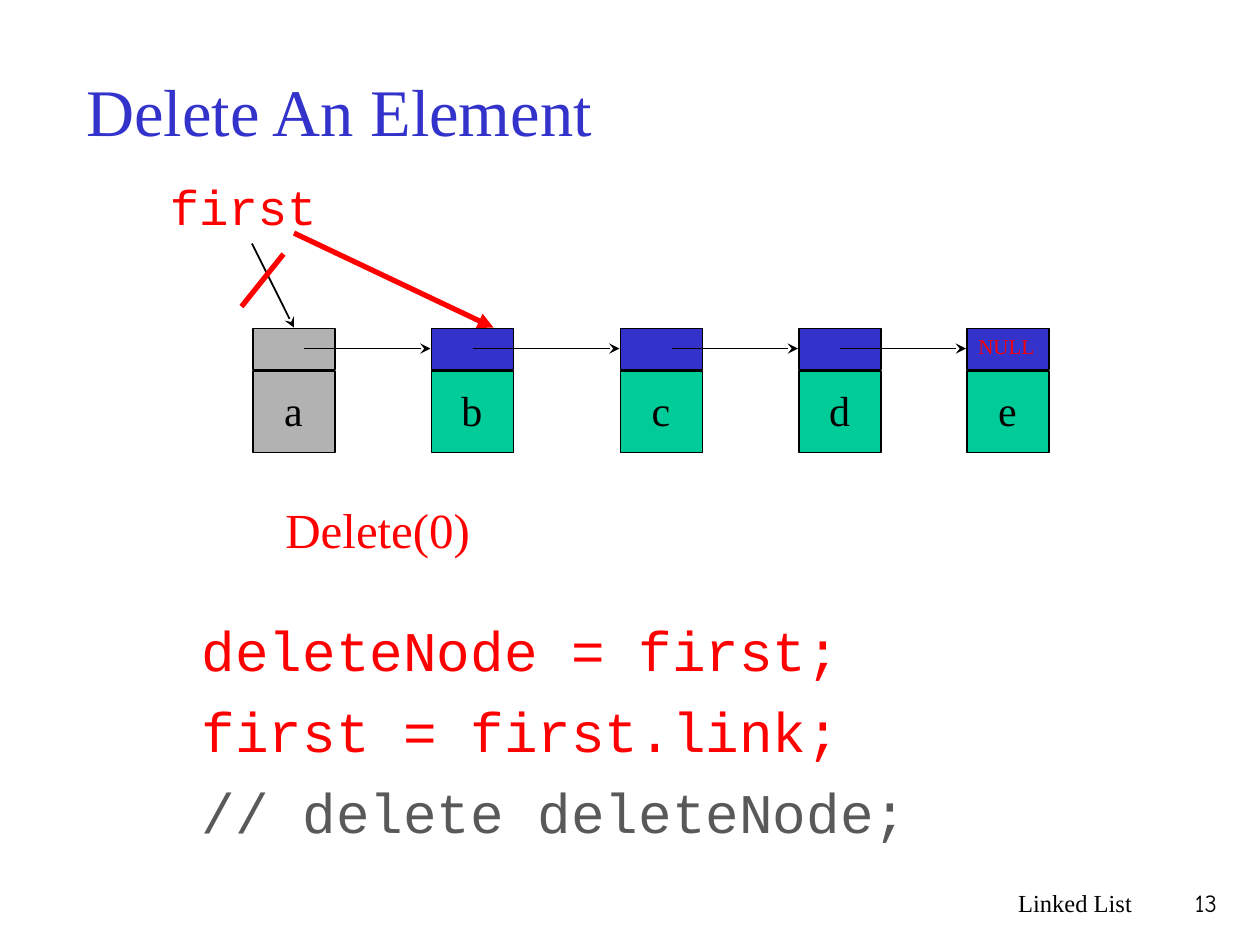
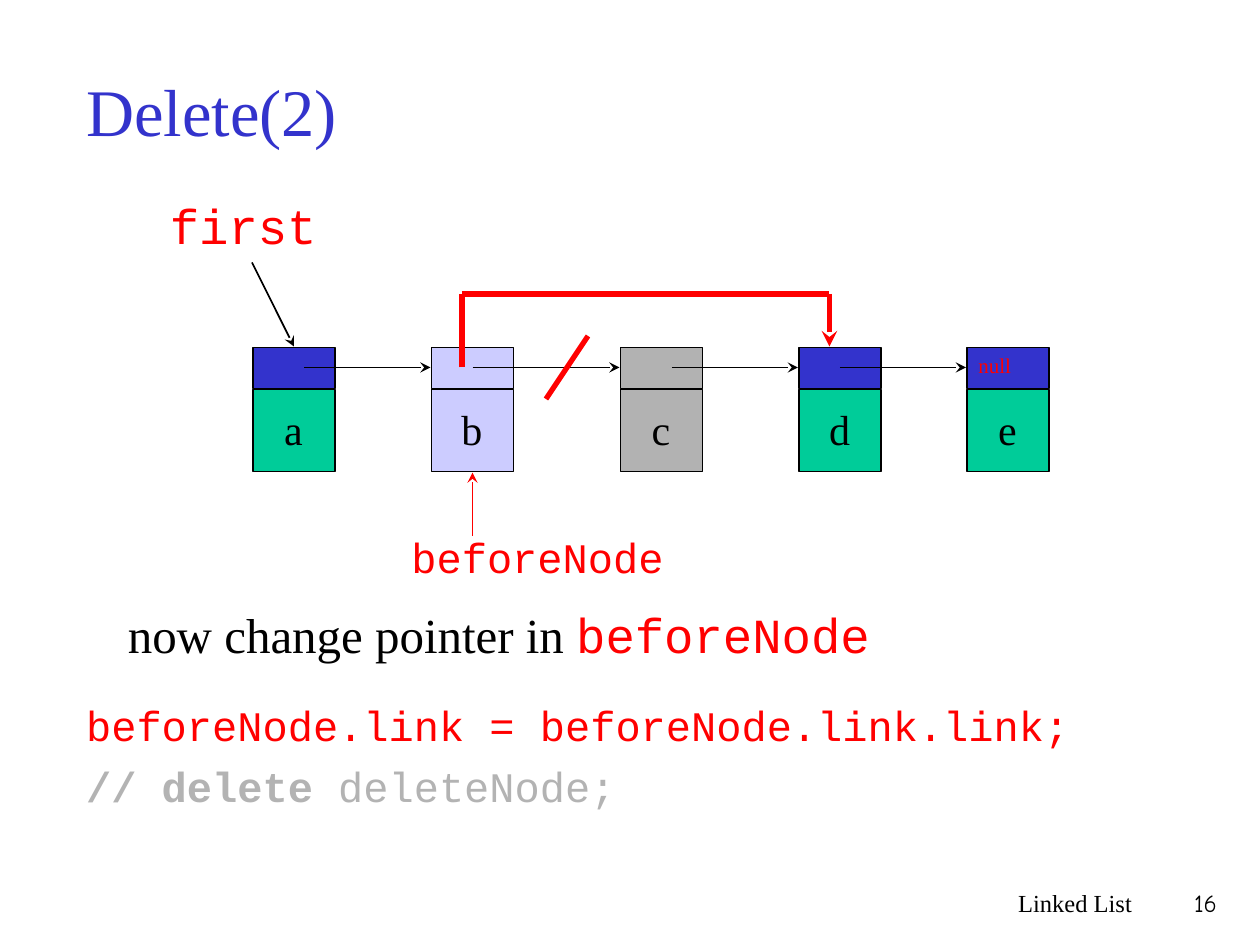
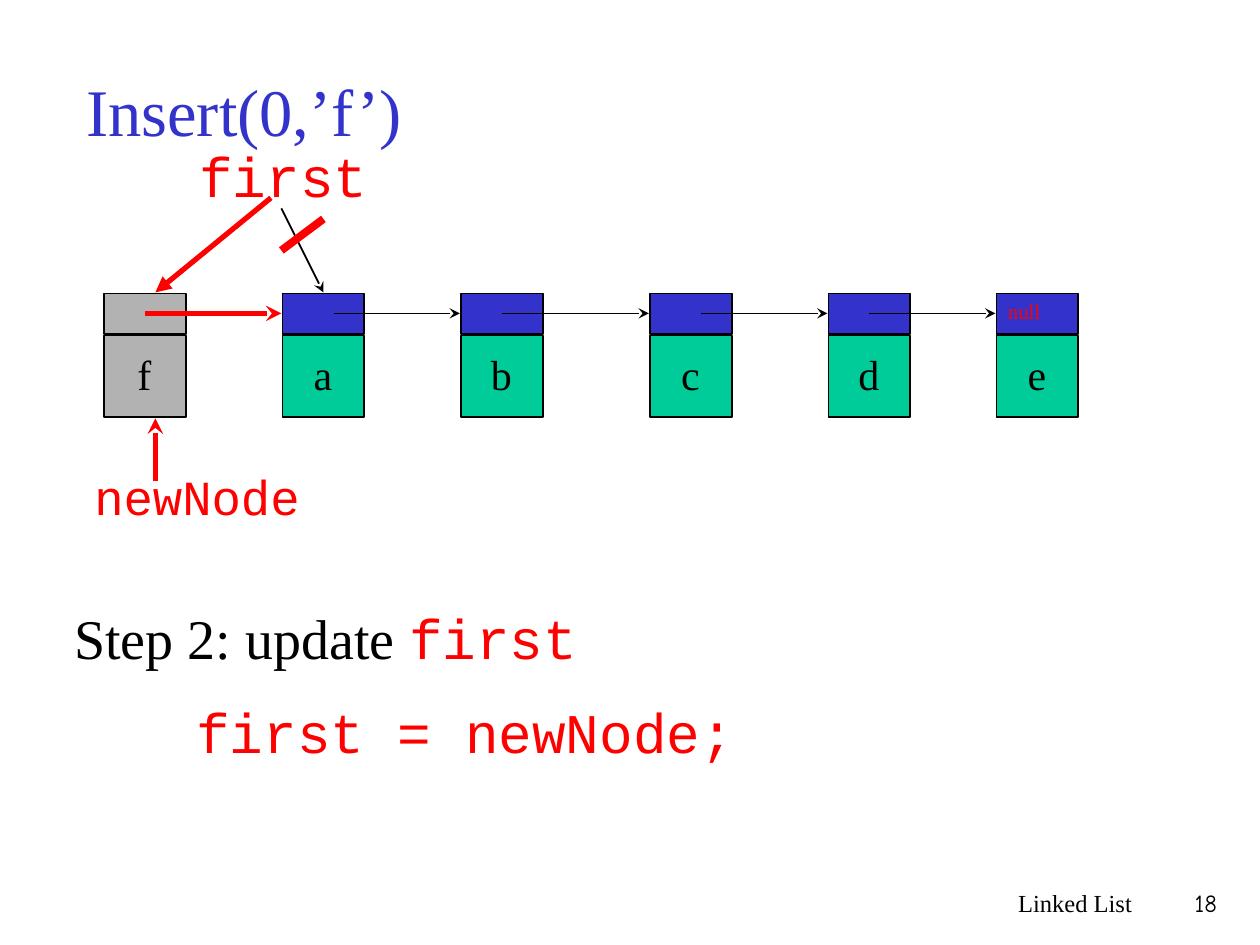
from dataclasses import dataclass, replace

import pptx
import pptx.dml.color
import pptx.enum.shapes
import pptx.enum.text
import pptx.oxml.ns
import pptx.util
from lxml import etree

ALIGN = pptx.enum.text.PP_ALIGN
ANCHOR = pptx.enum.text.MSO_ANCHOR


@dataclass(frozen=True)
class Style:
    font: str
    size: float
    color: str
    bold: bool = False


class Theme:
    BLUE, GREEN, LAVENDER = "3333CC", "00CC99", "CCCCFF"
    RED, BLACK, GRAY = "FF0000", "000000", "B2B2B2"
    SERIF, MONO = "Times New Roman", "Courier New"
    TITLE = Style(SERIF, 38, BLUE)
    TEXT = Style(SERIF, 28, BLACK)
    CODE = Style(MONO, 28, RED)
    ELEMENT = Style(SERIF, 24, BLACK)
    NULL = Style(SERIF, 12, RED)
    FOOTER = Style(SERIF, 14, BLACK)
    NUMBER = Style("Comic Neue", 14, BLACK)
    THIN, THICK, HEAVY = 1, 3, 4.5
    LINE_GAP = 0.25  # space before a paragraph, as a share of its type size


@dataclass(frozen=True)
class Box:
    """A region in grid units; the slide has 120 columns and 90 rows."""
    col: float
    row: float
    width: float = 0
    height: float = 0

    def inside(self, col, row, width=0, height=0):
        return Box(self.col + col, self.row + row, width, height)

    def lengths(self):
        return [units(n) for n in (self.col, self.row, self.width, self.height)]


# Column of each node and of the start of its link, from the chain's left edge
NODE_COLS = {"a": 0, "b": 17, "c": 35, "d": 52, "e": 68}
LINK_COLS = {"a": 5, "b": 21, "c": 40, "d": 56}
LINK_ROW = 2


def units(count):
    return pptx.util.Inches(count / 12)


def rgb(color):
    return pptx.dml.color.RGBColor.from_string(color)


def apply_style(font, style):
    font.name = style.font
    font.size = pptx.util.Pt(style.size)
    font.bold = style.bold
    font.color.rgb = rgb(style.color)


def write(frame, paragraphs, align=ALIGN.LEFT, anchor=ANCHOR.TOP):
    """Fill a frame; each paragraph is a list of (text, style) runs."""
    frame.word_wrap = True
    frame.auto_size = pptx.enum.text.MSO_AUTO_SIZE.NONE
    frame.vertical_anchor = anchor
    for index, runs in enumerate(paragraphs):
        paragraph = frame.add_paragraph() if index else frame.paragraphs[0]
        paragraph.alignment = align
        gap = Theme.LINE_GAP * runs[0][1].size if index else 0
        paragraph.space_before = pptx.util.Pt(gap)
        properties = paragraph._p.get_or_add_pPr()
        properties.set("marL", "0")
        properties.set("indent", "0")
        etree.SubElement(properties, pptx.oxml.ns.qn("a:buNone"))
        for text, style in runs:
            run = paragraph.add_run()
            run.text = text
            if len(runs) > 1:
                apply_style(run.font, style)
        if len(runs) == 1:
            apply_style(paragraph.font, runs[0][1])


def add_text(slide, box, *runs, align=ALIGN.LEFT):
    write(slide.shapes.add_textbox(*box.lengths()).text_frame, [runs], align)


def fill_placeholder(placeholder, box, paragraphs, anchor=ANCHOR.TOP):
    (placeholder.left, placeholder.top,
     placeholder.width, placeholder.height) = box.lengths()
    write(placeholder.text_frame, paragraphs, anchor=anchor)


def add_line(slide, start, end, color=Theme.BLACK, width=Theme.THIN, head=None):
    line = slide.shapes.add_connector(
        pptx.enum.shapes.MSO_CONNECTOR.STRAIGHT,
        units(start.col), units(start.row), units(end.col), units(end.row))
    line.line.color.rgb = rgb(color)
    line.line.width = pptx.util.Pt(width)
    if head:
        etree.SubElement(line.line._get_or_add_ln(),
                         pptx.oxml.ns.qn("a:tailEnd"), type=head)
    etree.SubElement(line._element.spPr, pptx.oxml.ns.qn("a:effectLst"))


def add_cell(slide, box, color):
    cell = slide.shapes.add_shape(
        pptx.enum.shapes.MSO_SHAPE.RECTANGLE, *box.lengths())
    cell.shadow.inherit = False
    cell.fill.solid()
    cell.fill.fore_color.rgb = rgb(color)
    cell.line.color.rgb = rgb(Theme.BLACK)
    cell.line.width = pptx.util.Pt(Theme.THIN)


def add_node(slide, box, element, mark=None):
    """A link cell above an element cell; a mark colours both."""
    add_cell(slide, box.inside(0.1, 0.1, 7.8, 3.9), mark or Theme.BLUE)
    add_cell(slide, box.inside(0.1, 4.1, 7.8, 7.8), mark or Theme.GREEN)
    add_text(slide, box.inside(1.7, 4.8, 4.5, 6), (element, Theme.ELEMENT),
             align=ALIGN.CENTER)


def add_chain(slide, chain, null, marks=None, first_size=28):
    """The list a to e with its links and the pointer named first."""
    marks = marks or {}
    for element, col in NODE_COLS.items():
        add_node(slide, chain.inside(col, 0), element, marks.get(element))
    following = list(NODE_COLS.values())[1:]
    for start, end in zip(LINK_COLS.values(), following):
        add_line(slide, chain.inside(start, LINK_ROW),
                 chain.inside(end, LINK_ROW), head="stealth")
    add_text(slide, chain.inside(NODE_COLS["e"], 0, 8, 3.6), (null, Theme.NULL))
    add_text(slide, chain.inside(-9, -15, 24, 7.5),
             ("first", replace(Theme.CODE, size=first_size)))
    add_line(slide, chain.inside(0, -8), chain.inside(4, 0), head="stealth")


def add_slide(deck, title, number, code_box, code):
    slide = deck.slides.add_slide(deck.slide_layouts[1])
    fill_placeholder(slide.shapes.title, Box(7, 3, 102, 15),
                     [[(title, Theme.TITLE)]], ANCHOR.MIDDLE)
    fill_placeholder(slide.placeholders[1], code_box, code)
    add_text(slide, Box(71, 84, 38, 6), ("Linked List", Theme.FOOTER),
             align=ALIGN.RIGHT)
    add_text(slide, Box(109, 84, 8.1, 6), (number, Theme.NUMBER),
             align=ALIGN.RIGHT)
    return slide


def delete_first(deck):
    code = replace(Theme.CODE, size=32)
    slide = add_slide(deck, "Delete An Element", "13", Box(18, 58, 84, 9), [
        [("deleteNode = first;", code)],
        [("first = first.link;", code)],
        [("// delete deleteNode;", replace(code, color="595959"))]])
    chain = Box(24, 31.2)
    add_chain(slide, chain, "NULL", {"a": Theme.GRAY})
    add_line(slide, chain.inside(4, -9), chain.inside(23, 0),
             Theme.RED, Theme.THICK, "triangle")
    add_line(slide, chain.inside(3, -7), chain.inside(-1, -2),
             Theme.RED, Theme.THICK)
    add_text(slide, Box(26, 47, 86, 8),
             ("Delete(0)", replace(Theme.TEXT, color=Theme.RED)))


def delete_middle(deck):
    code = replace(Theme.CODE, size=24)
    comment = replace(code, color="B3B3B3")
    slide = add_slide(deck, "Delete(2)", "16", Box(7, 66, 113, 13), [
        [("beforeNode.link = beforeNode.link.link;", code)],
        [("// delete ", replace(comment, bold=True)),
         ("deleteNode;", comment)]])
    chain = Box(24, 33)
    add_chain(slide, chain, "null", {"b": Theme.LAVENDER, "c": Theme.GRAY})
    bypass = [chain.inside(*corner)
              for corner in ((20, LINK_ROW), (20, -5), (55, -5), (55, 0))]
    for start, end, head in zip(bypass, bypass[1:], (None, None, "stealth")):
        add_line(slide, start, end, Theme.RED, Theme.THICK, head)
    add_line(slide, chain.inside(32, -1), chain.inside(28, 5),
             Theme.RED, Theme.THICK)
    add_line(slide, chain.inside(21, 18), chain.inside(21, 12),
             Theme.RED, head="stealth")
    add_text(slide, chain.inside(14, 17, 28, 6), ("beforeNode", code))
    add_text(slide, Box(11, 57, 102, 13),
             ("now change pointer in ", Theme.TEXT), ("beforeNode", Theme.CODE))


def insert_first(deck):
    code = replace(Theme.CODE, size=32)
    slide = add_slide(deck, "Insert(0,’f’)", "18", Box(17.5, 65.8, 68, 7.6),
                      [[("first = newNode;", code)]])
    chain = Box(26.8, 27.85)
    add_chain(slide, chain, "null", first_size=32)
    add_node(slide, chain.inside(-17, 0), "f", Theme.GRAY)
    add_line(slide, chain.inside(-13, LINK_ROW), chain.inside(0, LINK_ROW),
             Theme.RED, Theme.THICK, "stealth")
    add_text(slide, chain.inside(-19, 16, 24, 6.8), ("newNode", Theme.CODE))
    add_line(slide, chain.inside(-12, 18), chain.inside(-12, 12),
             Theme.RED, Theme.THICK, "stealth")
    add_text(slide, Box(5.9, 56.9, 113, 13.6),
             ("Step 2: update ", replace(Theme.TEXT, size=32)), ("first", code))
    add_line(slide, chain.inside(4, -7), chain.inside(0, -4),
             Theme.RED, Theme.HEAVY)
    add_line(slide, chain.inside(-1, -9), chain.inside(-12, 0),
             Theme.RED, Theme.THICK, "triangle")


def main():
    deck = pptx.Presentation()
    deck.slide_width, deck.slide_height = units(120), units(90)
    for build in (delete_first, delete_middle, insert_first):
        build(deck)
    deck.save("out.pptx")


if __name__ == "__main__":
    main()
